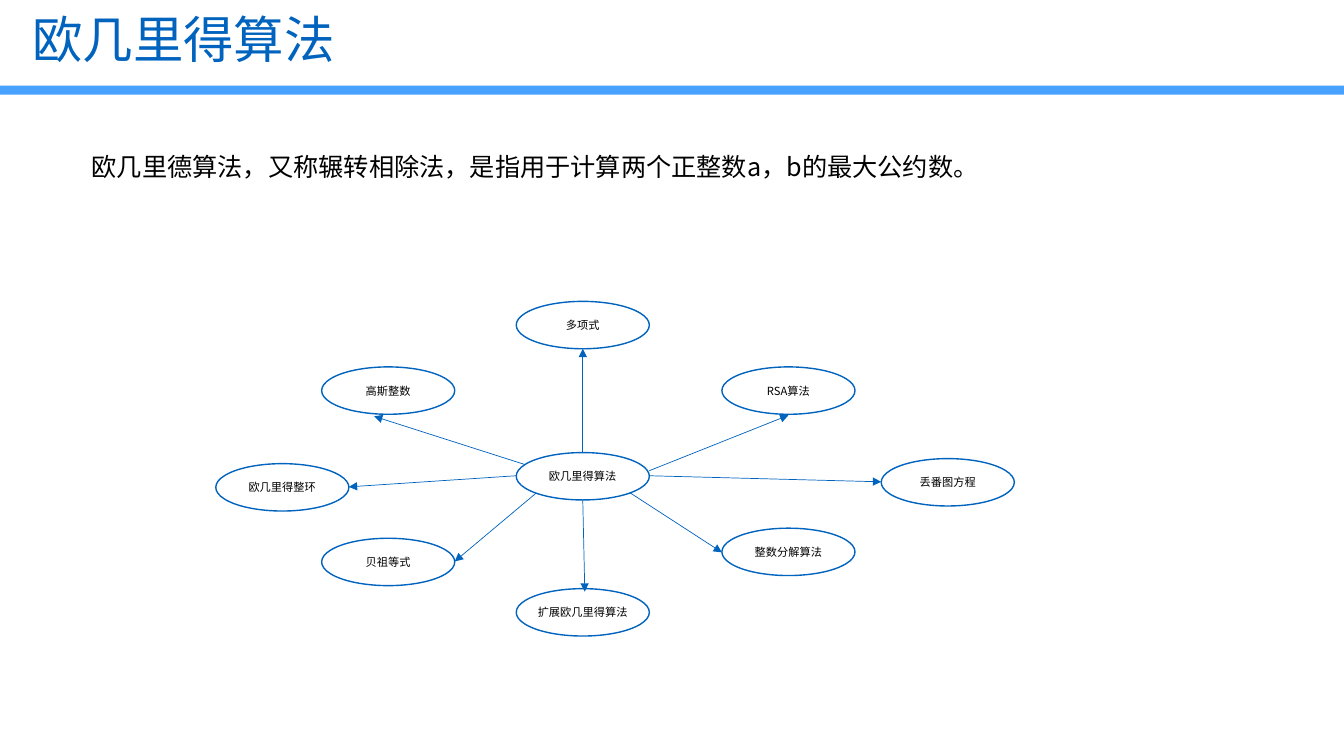
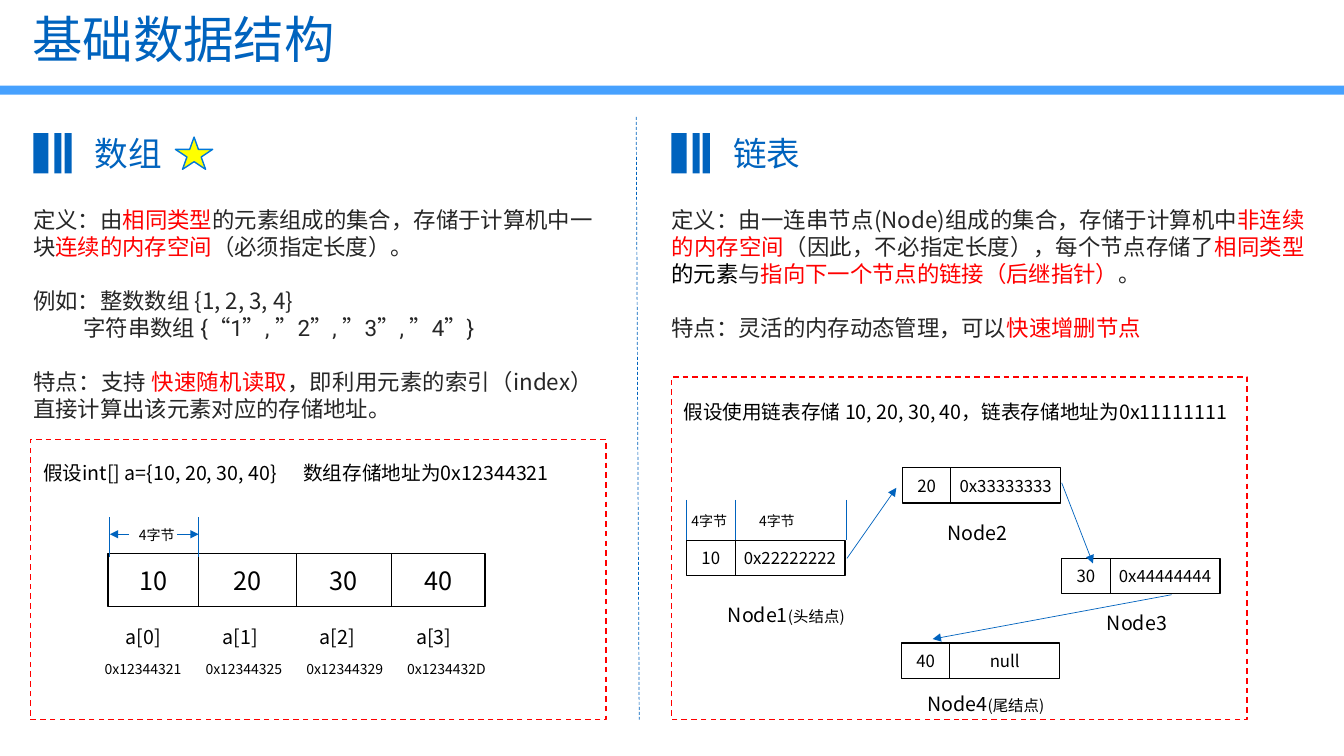
from lxml import etree
from pptx import Presentation
from pptx import util as u
from pptx.dml.color import RGBColor
from pptx.enum import dml, shapes, text
from pptx.oxml import ns

BLUE, BAND_BLUE, STAR_BLUE = "0063BE", "47A1FE", "0178D9"
RED, YELLOW, BLACK, GREY, WHITE = "FF0000", "FFFF00", "000000", "262626", "FFFFFF"
CJK_FONT, CODE_FONT = "Noto Sans CJK SC", "Roboto"
LEFT, CENTER, JUSTIFY = text.PP_ALIGN.LEFT, text.PP_ALIGN.CENTER, text.PP_ALIGN.JUSTIFY
TOP, MIDDLE = text.MSO_ANCHOR.TOP, text.MSO_ANCHOR.MIDDLE
CONTENT_LAYOUT, COMPARISON_LAYOUT = 1, 4
BODY_PITCH = 19.3  # points from line to line


def rgb(color):
    return RGBColor.from_string(color)


def inches(*values):
    return [u.Inches(value) for value in values]


# ---- Text ----

def add_run(paragraph, content, size, color, font_name=CJK_FONT):
    run = paragraph.add_run()
    run.text = content
    run.font.size = u.Pt(size)
    run.font.bold = False
    run.font.name = font_name
    run.font.color.rgb = rgb(color)
    east_asian = etree.SubElement(run._r.get_or_add_rPr(), ns.qn("a:ea"))
    east_asian.set("typeface", CJK_FONT)


def write(frame, runs, size, color=BLACK, align=LEFT, anchor=MIDDLE, margin=0, wrap=True,
          first=True):
    """Write one paragraph; a run is a string or (string, overriding settings)."""
    frame.word_wrap = wrap
    frame.auto_size = text.MSO_AUTO_SIZE.NONE
    frame.vertical_anchor = anchor
    frame.margin_left = frame.margin_right = u.Inches(margin)
    frame.margin_top = frame.margin_bottom = 0
    paragraph = frame.paragraphs[0] if first else frame.add_paragraph()
    paragraph.alignment = align
    paragraph.space_before = u.Pt(0)
    for run in [runs] if isinstance(runs, str) else runs:
        content, changes = (run, {}) if isinstance(run, str) else run
        add_run(paragraph, content, **{"size": size, "color": color, **changes})
    return paragraph


def remove_bullet(paragraph, indent=0.0):
    properties = paragraph._p.get_or_add_pPr()
    properties.set("marL", str(u.Inches(indent)))
    properties.set("indent", "0")
    etree.SubElement(properties, ns.qn("a:buNone"))


def place(slide, index, box):
    """Move a placeholder and return its text frame."""
    shape = slide.placeholders[index]
    shape.left, shape.top, shape.width, shape.height = inches(*box)
    return shape.text_frame


def add_label(slide, box, runs, size, **settings):
    frame = slide.shapes.add_textbox(*inches(*box)).text_frame
    write(frame, runs, size, **{"margin": 0.1, **settings})


def fill_body(slide, index, box, paragraphs):
    """Each paragraph is (runs, blank lines before, indent)."""
    frame = place(slide, index, box)
    for number, (runs, gap, indent) in enumerate(paragraphs):
        paragraph = write(frame, runs, 16, GREY, JUSTIFY, TOP, first=number == 0)
        paragraph.line_spacing = u.Pt(BODY_PITCH)
        paragraph.space_before = u.Pt(gap * BODY_PITCH)
        remove_bullet(paragraph, indent)


# ---- Shapes ----

def add_shape(slide, kind, box, fill=None, line=None, dashed=False):
    shape = slide.shapes.add_shape(kind, *inches(*box))
    shape.shadow.inherit = False
    if fill:
        shape.fill.solid()
        shape.fill.fore_color.rgb = rgb(fill)
    else:
        shape.fill.background()
    if line:
        shape.line.color.rgb = rgb(line)
        shape.line.width = u.Pt(1)
        if dashed:
            shape.line.dash_style = dml.MSO_LINE.DASH
    else:
        shape.line.fill.background()
    return shape


def add_rectangle(slide, box, **settings):
    return add_shape(slide, shapes.MSO_SHAPE.RECTANGLE, box, **settings)


def add_line(slide, start, end, color=BLUE, arrow=False, dashed=False):
    connector = slide.shapes.add_connector(
        shapes.MSO_CONNECTOR.STRAIGHT, *inches(*start, *end))
    connector.line.color.rgb = rgb(color)
    connector.line.width = u.Pt(0.5)
    if dashed:
        connector.line.dash_style = dml.MSO_LINE.DASH
    if arrow:
        tail = etree.SubElement(connector.line._get_or_add_ln(), ns.qn("a:tailEnd"))
        tail.set("type", "triangle")
    etree.SubElement(connector._element.spPr, ns.qn("a:effectLst"))


def add_cells(slide, edges, top, height, values, size):
    """Draw a framed row of cells between the given edges."""
    add_rectangle(slide, (edges[0], top, edges[-1] - edges[0], height),
                  fill=WHITE, line=BLACK)
    for edge in edges[1:-1]:
        add_line(slide, (edge, top), (edge, top + height), BLACK)
    for left, right, value in zip(edges, edges[1:], values):
        add_label(slide, (left, top, right - left, height), value, size,
                  align=CENTER, margin=0)


def add_ticks(slide, positions, top):
    for left in positions:
        add_line(slide, (left, top), (left, top + 0.4))


def add_heading(slide, index, left, title):
    for offset, width in ((0, 0.15), (0.21, 0.07), (0.31, 0.07)):
        add_rectangle(slide, (left + offset, 1.32, width, 0.4), fill=BLUE)
    frame = place(slide, index, (left + 0.61, 1.32, 0.79, 0.4))
    remove_bullet(write(frame, title, 24, BLUE))


def add_node(slide, left, top, value, link, name, name_box):
    edges = (left, left + 0.48, left + 1.57)
    add_cells(slide, edges, top, 0.35, (value, link), 12)
    add_label(slide, name_box, name, 14)


def start_slide(presentation, layout, title):
    """Add a slide with the shared title and band."""
    slide = presentation.slides.add_slide(presentation.slide_layouts[layout])
    add_rectangle(slide, (0, 0.85, 13.33, 0.09), fill=BAND_BLUE)
    frame = place(slide, 0, (0.22, 0.1, 12.18, 0.64))
    write(frame, title, 36, BLUE, margin=0.1).line_spacing = 0.9
    return slide


# ---- Slide 1: Euclidean algorithm ----

def build_euclid(presentation):
    slide = start_slide(presentation, CONTENT_LAYOUT, "欧几里得算法")
    frame = place(slide, 1, (0.81, 1.45, 9.5, 0.4))
    remove_bullet(write(
        frame, "欧几里德算法，又称辗转相除法，是指用于计算两个正整数a，b的最大公约数。",
        18, margin=0.1))

    topics = (
        ("欧几里得算法", 5.12, 4.49), ("多项式", 5.12, 2.99), ("高斯整数", 3.19, 3.64),
        ("欧几里得整环", 2.14, 4.6), ("贝祖等式", 3.19, 5.34),
        ("扩展欧几里得算法", 5.12, 5.84), ("整数分解算法", 7.16, 5.24),
        ("丢番图方程", 8.74, 4.55), ("RSA算法", 7.16, 3.64),
    )
    for name, left, top in topics:
        ellipse = add_shape(slide, shapes.MSO_SHAPE.OVAL, (left, top, 1.32, 0.47), line=BLUE)
        write(ellipse.text_frame, name, 8, align=CENTER, wrap=False)

    arrows = (
        ((5.78, 4.49), (5.78, 3.46)), ((5.21, 4.61), (3.71, 4.13)),
        ((5.12, 4.72), (3.46, 4.83)), ((5.32, 4.89), (4.51, 5.57)),
        ((5.78, 4.96), (5.8, 5.87)), ((6.25, 4.89), (7.16, 5.48)),
        ((6.44, 4.72), (8.74, 4.78)), ((6.44, 4.67), (7.82, 4.12)),
    )
    for start, end in arrows:
        add_line(slide, start, end, arrow=True)


# ---- Slide 2: array and linked list ----

def add_array(slide):
    add_rectangle(slide, (0.3, 4.36, 5.71, 2.78), line=RED, dashed=True)
    add_label(slide, (0.33, 4.52, 2.6, 0.34), "假设int[] a={10, 20, 30, 40}", 14)
    add_label(slide, (2.91, 4.52, 3, 0.34), "数组存储地址为0x12344321", 14)
    add_cells(slide, (1.07, 1.97, 2.94, 3.88, 4.81), 5.49, 0.53,
              ("10", "20", "30", "40"), 18)
    addresses = ("0x12344321", "0x12344325", "0x12344329", "0x1234432D")
    for index, address in enumerate(addresses):
        add_label(slide, (1.15 + 0.96 * index, 6.15, 0.68, 0.34), f"a[{index}]", 14)
        add_label(slide, (0.94 + index, 6.5, 1.14, 0.27), address, 10)

    # Width of one element
    add_ticks(slide, (1.08, 1.97), 5.13)
    add_label(slide, (1.28, 5.17, 0.7, 0.27), "4字节", 10)
    add_line(slide, (1.28, 5.3), (1.09, 5.3), arrow=True)
    add_line(slide, (1.76, 5.3), (1.97, 5.3), arrow=True)


def add_linked_list(slide):
    add_rectangle(slide, (6.66, 3.74, 5.71, 3.4), line=RED, dashed=True)
    add_label(slide, (6.68, 3.91, 6, 0.34),
              "假设使用链表存储 10, 20, 30, 40，链表存储地址为0x11111111", 14)
    small = {"size": 11}
    nodes = (
        (6.81, 5.36, "10", "0x22222222", ["Node1", ("(头结点)", small)],
         (7.12, 5.82, 1.39, 0.56)),
        (8.95, 4.64, "20", "0x33333333", "Node2", (9.3, 5.11, 0.95, 0.34)),
        (10.53, 5.54, "30", "0x44444444", "Node3", (10.88, 6.01, 0.95, 0.34)),
        (8.94, 6.38, "40", "null", ["Node4", ("(尾结点)", small)],
         (9.1, 6.81, 1.57, 0.34)),
    )
    for node in nodes:
        add_node(slide, *node)

    # Widths of the two fields
    add_ticks(slide, (6.81, 7.29, 8.39), 4.96)
    for left in (6.76, 7.43):
        add_label(slide, (left, 5.03, 0.7, 0.27), "4字节", 10)

    links = (((8.4, 5.54), (8.89, 4.84)), ((10.53, 4.79), (10.84, 5.59)),
             ((11.62, 5.9), (9.25, 6.34)))
    for start, end in links:
        add_line(slide, start, end, arrow=True)


def build_structures(presentation):
    slide = start_slide(presentation, COMPARISON_LAYOUT, "基础数据结构")
    red = {"color": RED}
    add_heading(slide, 1, 0.33, "数组")
    add_shape(slide, shapes.MSO_SHAPE.STAR_5_POINT, (1.74, 1.36, 0.37, 0.32),
              fill=YELLOW, line=STAR_BLUE)
    fill_body(slide, 2, (0.33, 2.04, 5.55, 2.15), (
        (["定义：由", ("相同类型", red), "的元素组成的集合，存储于计算机中一块",
          ("连续的内存空间", red), "（必须指定长度）。"], 0, 0),
        ("例如：整数数组 {1, 2, 3, 4}", 1, 0),
        ([("字符串数组 {“1”, ”2”, ”3”, ”4”}", {"font_name": CODE_FONT})], 0, 0.5),
        (["特点：支持 ", ("快速随机读取", red),
          "，即利用元素的索引（index）直接计算出该元素对应的存储地址。"], 1, 0),
    ))
    add_line(slide, (6.31, 1.16), (6.34, 7.14), dashed=True)

    add_heading(slide, 3, 6.66, "链表")
    fill_body(slide, 4, (6.66, 2.04, 6.28, 1.35), (
        (["定义：由一连串节点(Node)组成的集合，存储于计算机中", ("非连续的内存空间", red),
          "（因此，不必指定长度），每个节点存储了", ("相同类型", red),
          ("的元素", {"color": BLACK}), "与",
          ("指向下一个节点的链接（后继指针）", red), "。"], 0, 0),
        (["特点：灵活的内存动态管理，可以", ("快速增删节点", red)], 1, 0),
    ))
    add_array(slide)
    add_linked_list(slide)


def main():
    presentation = Presentation()
    presentation.slide_width, presentation.slide_height = inches(13.33, 7.5)
    build_euclid(presentation)
    build_structures(presentation)
    presentation.save("out.pptx")


if __name__ == "__main__":
    main()
